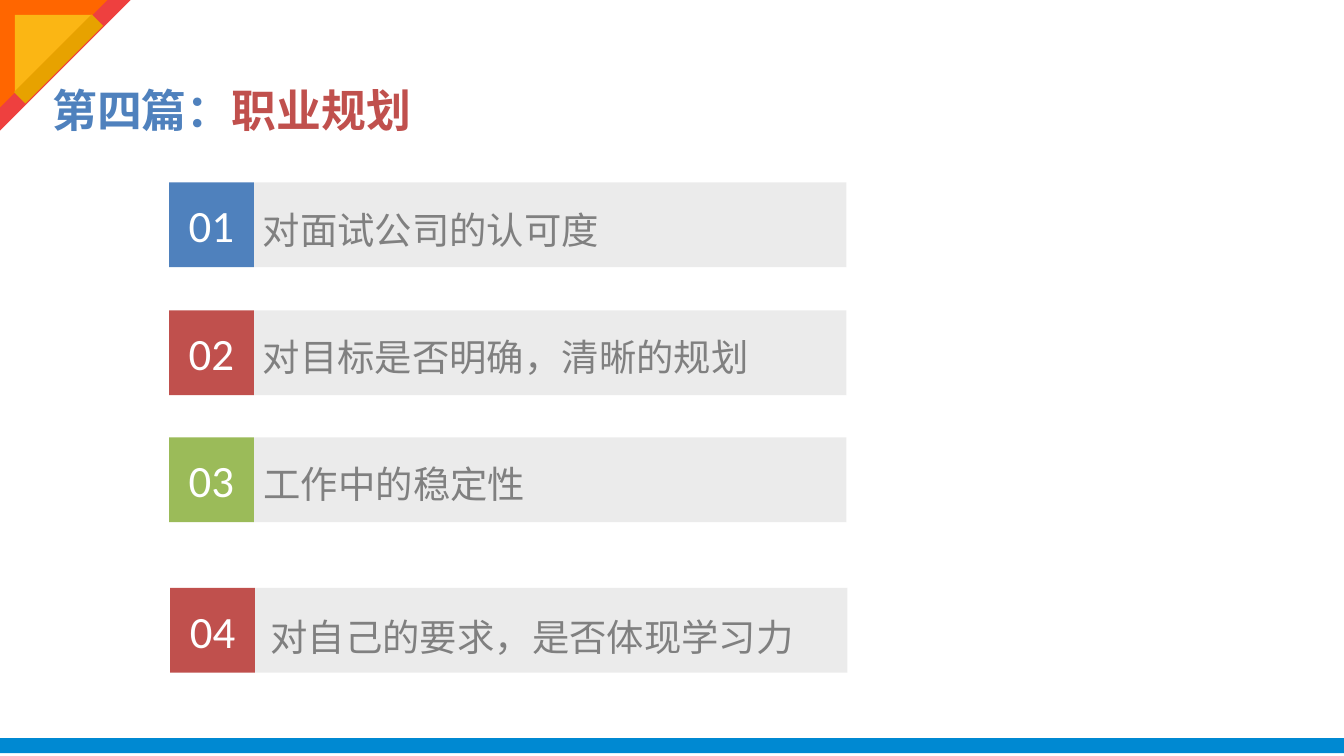
from lxml.etree import SubElement
from pptx import Presentation
from pptx.dml.color import RGBColor
from pptx.enum.shapes import MSO_SHAPE
from pptx.enum.text import MSO_ANCHOR, PP_ALIGN
from pptx.oxml.ns import qn
from pptx.util import Pt

COLORS = {
    "blue": "4F81BD", "red": "C0504D", "green": "9BBB59",
    "bar": "D9D9D9", "label": "808080", "white": "FFFFFF",
    "footer": "0089D2", "coral": "EE403F", "orange": "FF6600",
    "yellow": "FBB614", "gold": "E7A200",
}
TITLE = [("第四篇：", "blue"), ("职业规划", "red")]
# label, tile colour, top, shift of the row to the right, label indent, label drop
ROWS = [
    ("对面试公司的认可度", "blue", 97.8, 0, 4.7, 8.2),
    ("对目标是否明确，清晰的规划", "red", 166.3, 0, 4.7, 8.2),
    ("工作中的稳定性", "green", 234.3, 0, 5.2, 8.2),
    ("对自己的要求，是否体现学习力", "red", 315, 0.6, 8.2, 9.2),
]
# colour, offset from the corner, side
CORNER_TRIANGLES = [("coral", 0, 70), ("orange", 0, 57.6), ("yellow", 8, 41)]

TILE_LEFT, TILE_SIDE, BAR_WIDTH = 90.6, 45.4, 317.4
LABEL_HEIGHT = 28.8

deck = Presentation()
deck.slide_width, deck.slide_height = Pt(720), Pt(405)
page = deck.slides.add_slide(deck.slide_layouts[6])


def rgb(name):
    return RGBColor.from_string(COLORS[name])


def add_block(kind, left, top, width, height, color, rotation=0):
    block = page.shapes.add_shape(kind, Pt(left), Pt(top), Pt(width), Pt(height))
    block.shadow.inherit = False
    block.fill.solid()
    block.fill.fore_color.rgb = rgb(color)
    block.line.fill.background()
    block.rotation = rotation
    return block


def make_half_transparent(block):
    color = block.fill._xPr.find(qn("a:solidFill"))[0]
    SubElement(color, qn("a:alpha")).set("val", "50000")


def clear_margins(frame):
    frame.margin_left = frame.margin_top = frame.margin_right = frame.margin_bottom = 0


def set_font(font, name, size, color):
    font.name, font.size = name, Pt(size)
    font.color.rgb = rgb(color)


def add_corner():
    for color, offset, side in CORNER_TRIANGLES:
        add_block(MSO_SHAPE.RIGHT_TRIANGLE, offset, offset, side, side, color, 90)
    add_block(MSO_SHAPE.RECTANGLE, 27.1, 2.1, 8.6, 59, "gold", 45)


def add_title():
    box = page.shapes.add_textbox(Pt(21), Pt(41), Pt(208), Pt(36))
    box.text_frame.word_wrap = False
    para = box.text_frame.paragraphs[0]
    para.font.name, para.font.size, para.font.bold = "Roboto Condensed", Pt(24), True
    for text, color in TITLE:
        span = para.add_run()
        span.text = text
        span.font.color.rgb = rgb(color)


def add_row(number, label, color, top, shift, indent, drop):
    left = TILE_LEFT + shift
    bar_left = left + TILE_SIDE
    bar = add_block(MSO_SHAPE.RECTANGLE, bar_left, top, BAR_WIDTH, TILE_SIDE, "bar")
    make_half_transparent(bar)

    tile = add_block(MSO_SHAPE.RECTANGLE, left, top, TILE_SIDE, TILE_SIDE, color)
    frame = tile.text_frame
    clear_margins(frame)
    frame.vertical_anchor = MSO_ANCHOR.MIDDLE
    para = frame.paragraphs[0]
    para.text = f"{number:02d}"
    para.alignment = PP_ALIGN.CENTER
    set_font(para.font, "Calibri", 24, "white")

    box = page.shapes.add_textbox(Pt(bar_left), Pt(top + drop),
                                  Pt(BAR_WIDTH), Pt(LABEL_HEIGHT))
    frame = box.text_frame
    clear_margins(frame)
    frame.margin_left = Pt(indent)
    frame.word_wrap = True
    para = frame.paragraphs[0]
    para.text = label
    para.line_spacing = 1.2
    set_font(para.font, "Noto Sans CJK SC", 20, "label")


add_block(MSO_SHAPE.RECTANGLE, 0, 395.5, 720, 8, "footer")
add_corner()
add_title()
for number, row in enumerate(ROWS, start=1):
    add_row(number, *row)

deck.save("out.pptx")
